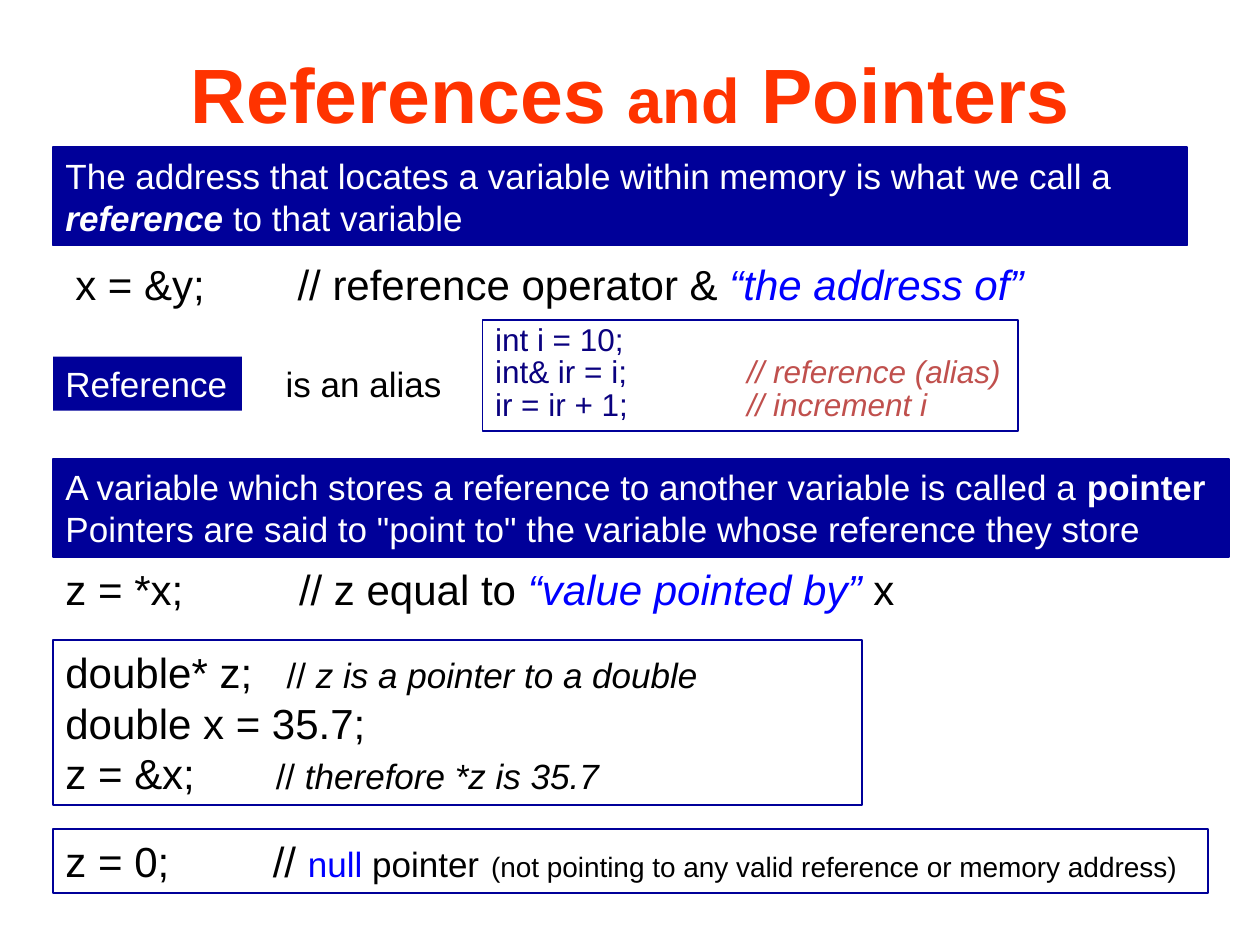
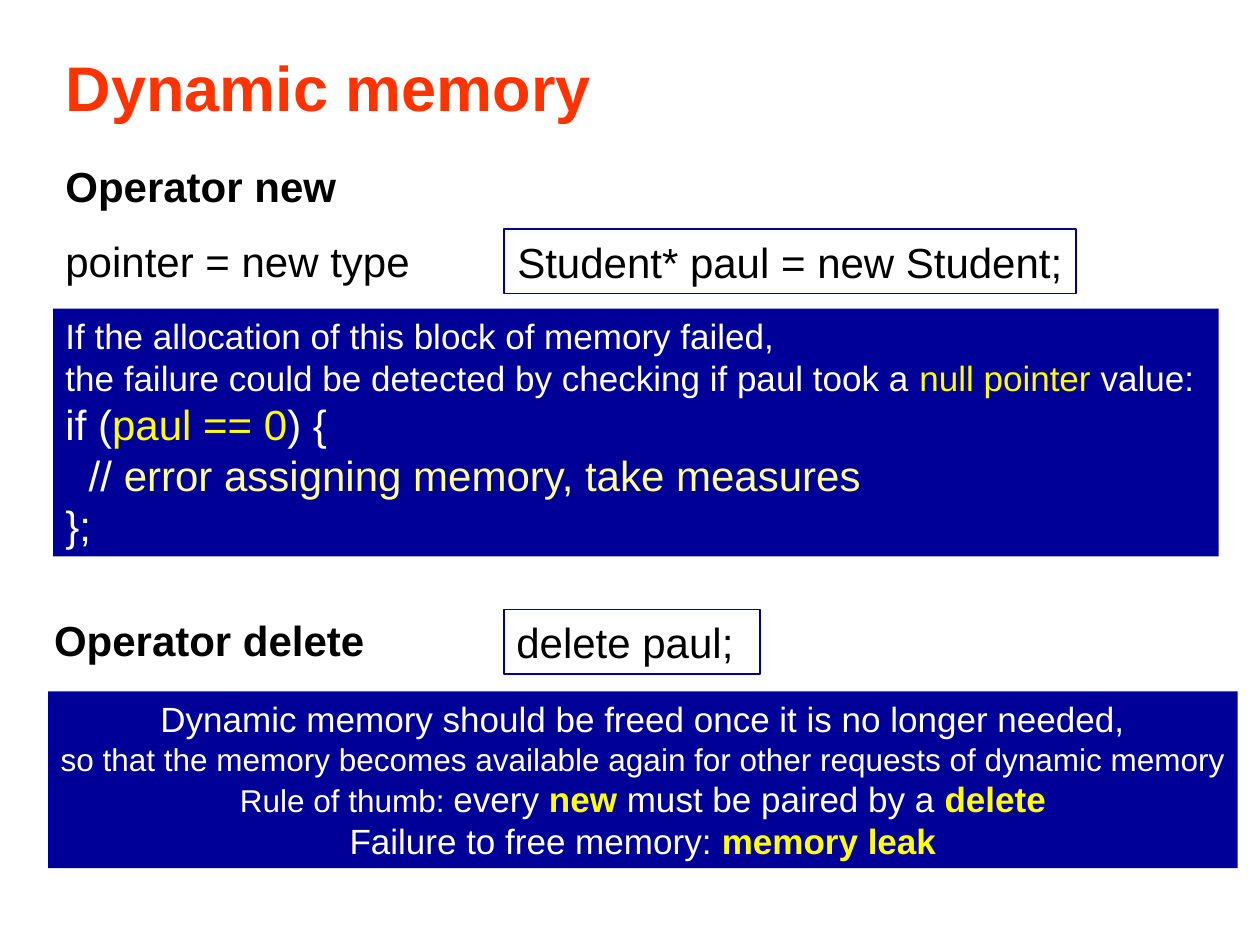
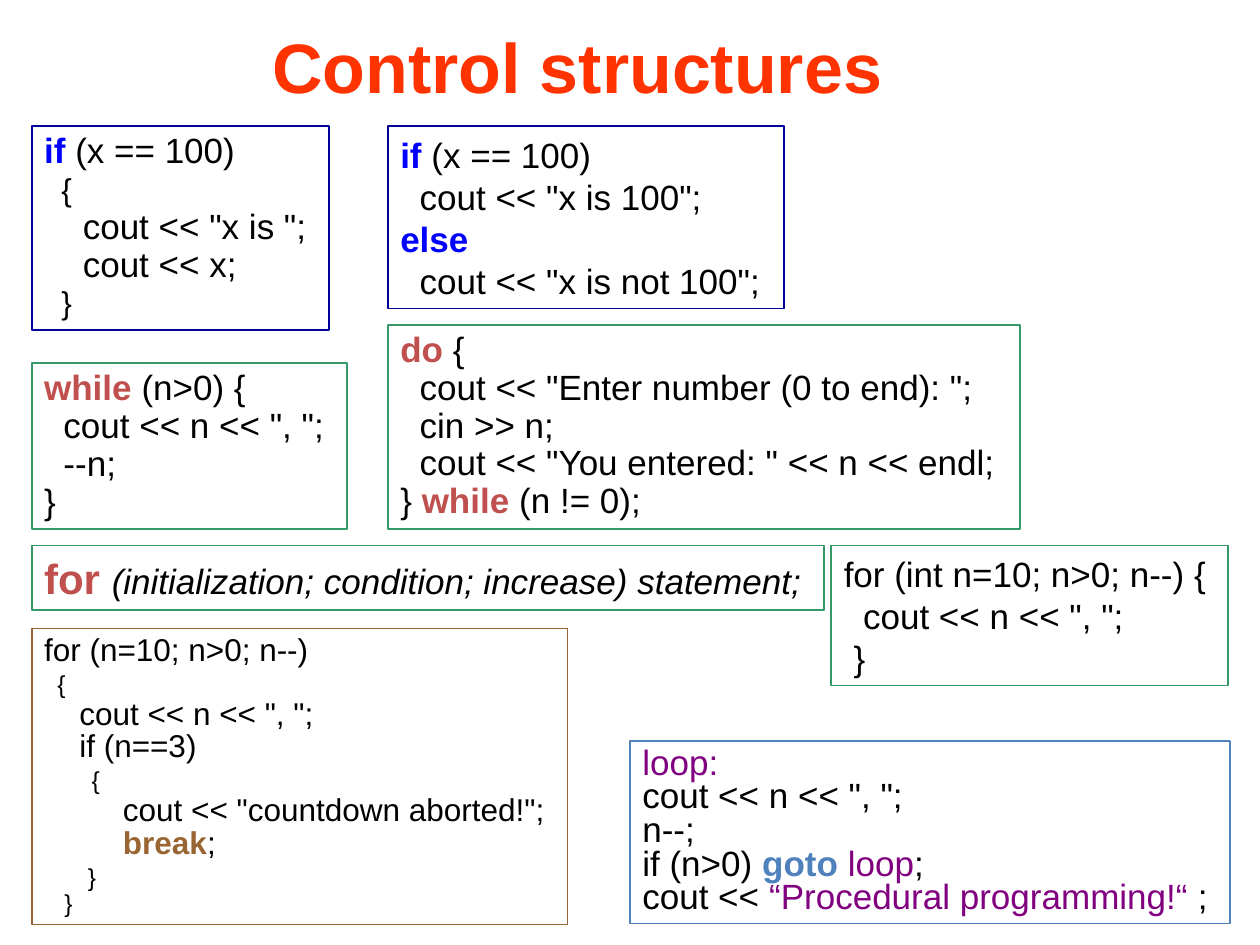
"""Build three lecture slides on pointers, dynamic memory and control structures."""
from pptx import Presentation
from pptx.dml.color import RGBColor
from pptx.enum.shapes import MSO_SHAPE
from pptx.enum.text import MSO_ANCHOR, MSO_AUTO_SIZE, PP_ALIGN
from pptx.oxml import parse_xml
from pptx.oxml.ns import nsdecls
from pptx.util import Cm, Pt

RECTANGLE = MSO_SHAPE.RECTANGLE
MIDDLE, TOP = MSO_ANCHOR.MIDDLE, MSO_ANCHOR.TOP
LEFT, CENTER = PP_ALIGN.LEFT, PP_ALIGN.CENTER
NO_AUTOFIT = MSO_AUTO_SIZE.NONE
FONT = "Arial"
TITLE_SIZE = (21.59, 1.8)
COLORS = {
    "white": "FFFFFF", "black": "000000", "title": "FF3300", "navy": "000099",
    "ink": "0A017F", "blue": "0000FF", "red": "C0504D", "yellow": "FFFF00",
    "cream": "FFFF99", "green": "339966", "brown": "996633", "steel": "4F81BD",
    "purple": "800080",
}


def line(*runs, style="", indent=0, tab=0):
    return {"runs": runs, "style": style, "indent": indent, "tab": tab}


def box(place, style, *lines, fill=None, border=None, spacing=None,
        align=LEFT, anchor=MIDDLE, wrap=True):
    return {"place": place, "style": style, "lines": lines, "fill": fill,
            "border": border, "spacing": spacing, "align": align,
            "anchor": anchor, "wrap": wrap}


POINTERS = [
    box((1.07, 2.97, 22.86, 1.98), "20 white",
        line("The address that locates a variable within memory is what we call a ",
             ("reference", "b i"), " to that variable"),
        fill="navy", border="navy"),
    box((1.27, 5.08, 19.63, 1.27), "24 black",
        line("x = &y;\t// reference operator & ",
             ("“the address of”", "blue i"), tab=4.48)),
    box((1.07, 9.25, 23.7, 1.98), "20 white",
        line("A variable which stores a reference to another variable is called a ",
             ("pointer", "b")),
        line("Pointers are said to \"point to\" the variable whose reference they store"),
        fill="navy", border="navy"),
    box((1.07, 11.23, 17.7, 1.27), "24 black",
        line("z = *x;\t// z equal to ", ("“value pointed by”", "blue i"), " x",
             tab=4.71)),
    box((1.07, 12.9, 16.31, 3.33), "24 black",
        line("double* z;\t", ("// ", "20"), ("z is a pointer to a double", "20 i"),
             tab=4.46),
        line("double x = 35.7;"),
        line("z = &x;\t", ("// ", "20"), ("therefore *z is 35.7", "20 i"), tab=4.24),
        border="navy"),
    box((1.07, 16.71, 23.29, 1.3), "24 black",
        line("z = 0;\t// ", ("null", "20 blue"), (" pointer", "20"), " ",
             ("(not pointing to any valid reference or memory address)", "16"),
             tab=4.18),
        border="navy"),
    box((1.07, 7.19, 3.81, 1.09), "20 white", line("Reference"), fill="navy"),
    box((9.73, 6.45, 10.8, 2.24), "18 ink",
        line("int i = 10;"),
        line("int& ir = i;\t", ("// reference (alias)", "red i"), tab=5.08),
        line("ir = ir + 1;\t", ("// increment i", "red i"), tab=5.08),
        border="navy", spacing=0.85, anchor=TOP),
    box((5.51, 7.19, 4.01, 1.09), "20 black", line("is an alias")),
]

MEMORY = [
    box((1.07, 3.1, 6.2, 1.27), "24 black b", line("Operator new")),
    box((1.07, 4.62, 7.7, 1.27), "24 black", line("pointer = new type")),
    box((10.16, 4.62, 11.53, 1.3), "24 black",
        line("Student* paul = new Student;"), border="navy", align=CENTER, wrap=False),
    box((1.07, 6.22, 23.5, 5), "24 white",
        line("If the allocation of this block of memory failed,", style="20"),
        line("the failure could be detected by checking if paul took a ",
             ("null pointer", "yellow"), " value:", style="20"),
        line("if (", ("paul == 0", "yellow"), ") {"),
        line("// ", ("error assigning memory, take measures", "cream"), indent=0.47),
        line("};"),
        fill="navy"),
    box((0.84, 12.27, 6.76, 1.27), "24 black b", line("Operator delete")),
    box((10.16, 12.29, 5.16, 1.3), "24 black", line("delete paul;"), border="navy"),
    box((0.97, 13.94, 23.98, 3.56), "20 white",
        line("Dynamic memory should be freed once it is no longer needed,"),
        line("so that the memory becomes available again for other requests "
             "of dynamic memory", style="18"),
        line(("Rule of thumb: ", "18"), "every ", ("new ", "yellow b"),
             "must be paired by a ", ("delete", "yellow b")),
        line("Failure to free memory:", (" memory leak", "yellow b")),
        fill="navy", align=CENTER, wrap=False),
]

CONTROL = [
    box((0.64, 2.54, 5.99, 4.11), "20 black",
        line(("if ", "blue b"), "(x == 100)"),
        line(("{", "18"), " ", indent=0.35),
        line("cout << \"x is \";", indent=0.78),
        line("cout << x;", indent=0.78),
        line(("}", "18"), " ", indent=0.35),
        border="navy", spacing=0.9),
    box((7.82, 2.54, 7.98, 3.68), "20 black",
        line(("if ", "blue b"), "(x == 100)"),
        line("cout << \"x is 100\";", indent=0.39),
        line("else", style="blue b"),
        line("cout << \"x is not 100\";", indent=0.39),
        border="navy"),
    box((0.64, 7.32, 6.35, 3.35), "20 black",
        line(("while", "red b"), " (n>0) {"),
        line("cout << n << \", \";", indent=0.39),
        line("--n;", indent=0.39),
        line("}"),
        border="green", spacing=0.9),
    box((7.82, 6.55, 12.75, 4.11), "20 black",
        line(("do", "red b"), " {"),
        line("cout << \"Enter number (0 to end): \";", indent=0.39),
        line("cin >> n;", indent=0.39),
        line("cout << \"You entered: \" << n << endl;", indent=0.39),
        line("} ", ("while ", "red b"), "(n != 0);"),
        border="green", spacing=0.9),
    box((0.64, 11, 15.98, 1.3), "20 black",
        line(("for ", "24 red b"),
             ("(initialization; condition; increase) statement;", "i")),
        border="green"),
    box((16.76, 11, 8, 2.82), "20 black",
        line("for (int n=10; n>0; n--) {"),
        line("cout << n << \", \";", indent=0.39),
        line("}", indent=0.2),
        border="green"),
    box((0.64, 12.67, 10.8, 5.97), "18 black",
        line("for (n=10; n>0; n--)"),
        line(("{", "14"), " ", indent=0.27),
        line("cout << n << \", \";", indent=0.71),
        line("if (n==3)", indent=0.71),
        line(("{", "14"), " ", indent=0.96),
        line("cout << \"countdown aborted!\";", indent=1.59),
        line(("break", "brown b"), ";", indent=1.59),
        line(("}", "14"), " ", indent=0.88),
        line("}", style="14", indent=0.41),
        fill="white", border="brown", spacing=0.85),
    box((12.7, 14.94, 12.09, 3.68), "20 black",
        line("loop:", style="purple"),
        line("cout << n << \", \";"),
        line("n--;"),
        line("if (n>0) ", ("goto ", "steel b"), ("loop", "purple"), ";"),
        line("cout << ", ("“Procedural programming!“ ", "purple"), ";"),
        border="steel", spacing=0.8),
]

SLIDES = [
    ((1.91, 0.97), CENTER, "44 title b",
     line("References ", ("and", "36"), " Pointers"), POINTERS),
    ((1.07, 0.84), LEFT, "36 title b", line("Dynamic memory"), MEMORY),
    ((0.84, 0.43), CENTER, "40 title b", line("Control structures"), CONTROL),
]


def rgb(color):
    return RGBColor.from_string(COLORS[color])


def apply_style(font, style):
    for token in style.split():
        if token.isdigit():
            font.size = Pt(int(token))
        elif token == "b":
            font.bold = True
        elif token == "i":
            font.italic = True
        else:
            font.color.rgb = rgb(token)


def write_line(paragraph, content, style, align, spacing=None):
    paragraph.alignment = align
    paragraph.line_spacing = spacing
    properties = paragraph._p.get_or_add_pPr()
    if content["indent"]:
        properties.set("marL", str(Cm(content["indent"])))
        properties.set("indent", "0")
    if content["tab"]:
        properties.append(parse_xml(
            f'<a:tabLst {nsdecls("a")}><a:tab pos="{Cm(content["tab"])}" algn="l"/></a:tabLst>'))
    paragraph.font.name = FONT
    apply_style(paragraph.font, style)
    apply_style(paragraph.font, content["style"])
    for piece in content["runs"]:
        text, run_style = (piece, "") if isinstance(piece, str) else piece
        run = paragraph.add_run()
        run.text = text
        apply_style(run.font, run_style)


def prepare_frame(frame, anchor, wrap=True):
    frame.word_wrap = wrap
    frame.auto_size = NO_AUTOFIT
    frame.vertical_anchor = anchor


def add_box(slide, item):
    place = [Cm(length) for length in item["place"]]
    if item["fill"] or item["border"]:
        panel = slide.shapes.add_shape(RECTANGLE, *place)
        panel.shadow.inherit = False
        if item["fill"]:
            panel.fill.solid()
            panel.fill.fore_color.rgb = rgb(item["fill"])
        else:
            panel.fill.background()
        if item["border"]:
            panel.line.color.rgb = rgb(item["border"])
            panel.line.width = Pt(1)
        else:
            panel.line.fill.background()
    else:
        panel = slide.shapes.add_textbox(*place)
    frame = panel.text_frame
    prepare_frame(frame, item["anchor"], item["wrap"])
    for number, content in enumerate(item["lines"]):
        paragraph = frame.add_paragraph() if number else frame.paragraphs[0]
        write_line(paragraph, content, item["style"], item["align"], item["spacing"])


def add_slide(deck, corner, align, style, heading, boxes):
    slide = deck.slides.add_slide(deck.slide_layouts.get_by_name("Title Only"))
    title = slide.shapes.title
    title.left, title.top, title.width, title.height = (
        Cm(length) for length in corner + TITLE_SIZE)
    prepare_frame(title.text_frame, MIDDLE)
    write_line(title.text_frame.paragraphs[0], heading, style, align)
    for item in boxes:
        add_box(slide, item)


deck = Presentation()
deck.slide_width, deck.slide_height = Cm(25.4), Cm(19.05)
for content in SLIDES:
    add_slide(deck, *content)
deck.save("out.pptx")
